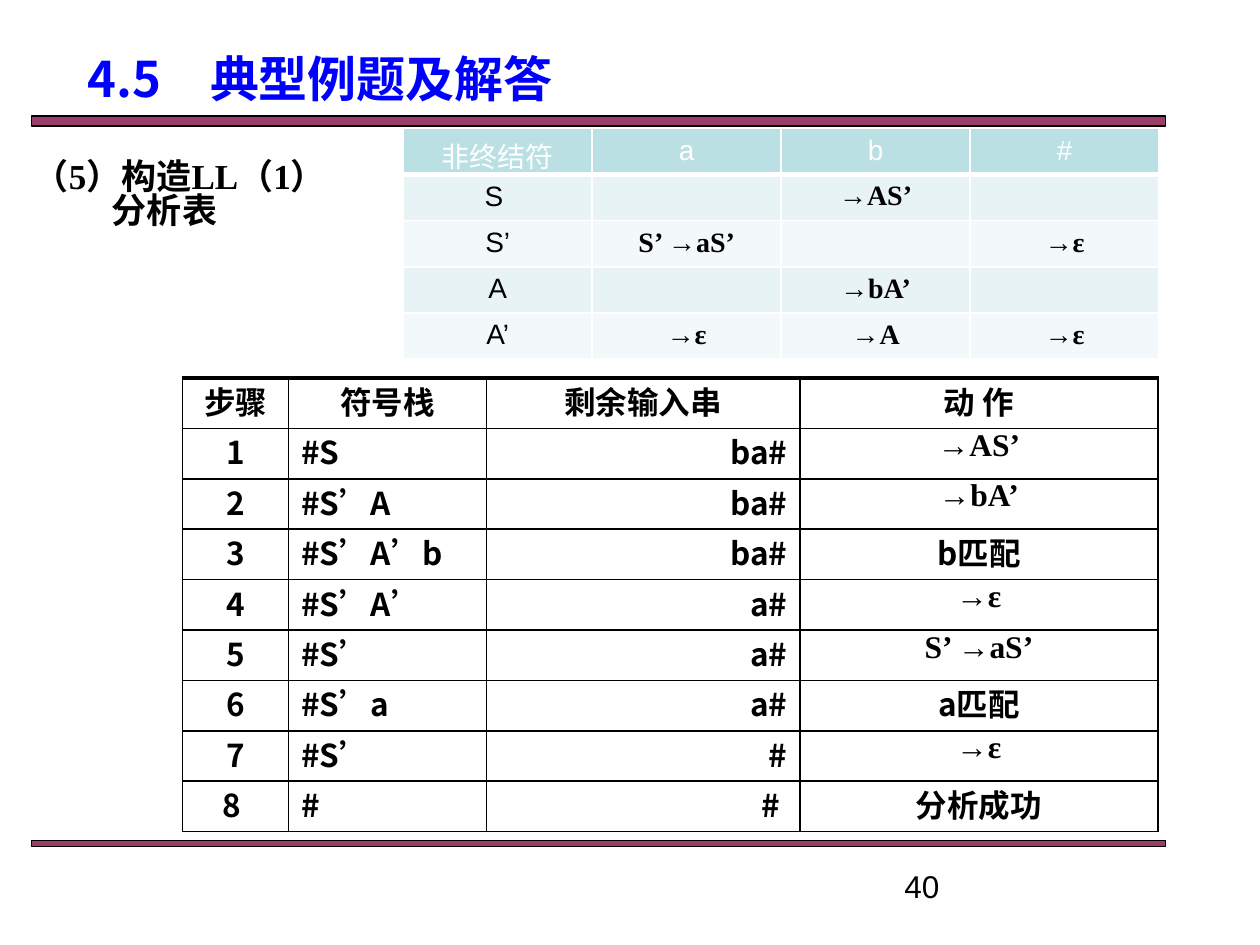
from dataclasses import dataclass

from lxml import etree
from pptx import Presentation
from pptx.dml.color import RGBColor
from pptx.enum.shapes import MSO_SHAPE
from pptx.enum.text import MSO_ANCHOR, PP_ALIGN
from pptx.oxml.ns import qn
from pptx.util import Inches, Pt

LEFT, CENTER, RIGHT = PP_ALIGN.LEFT, PP_ALIGN.CENTER, PP_ALIGN.RIGHT
TOP, MIDDLE = MSO_ANCHOR.TOP, MSO_ANCHOR.MIDDLE
RECTANGLE = MSO_SHAPE.RECTANGLE


@dataclass(frozen=True)
class Theme:
    """Colours, fonts and type sizes of the slide."""
    ink: str = "000000"
    white: str = "FFFFFF"
    title: str = "0000FF"
    rule: str = "993366"
    header: str = "BBE0E3"
    bands: tuple = ("E7F3F4", "F3F9FA")
    sans: str = "Arial"
    serif: str = "Times New Roman"
    cjk: str = "Noto Sans CJK SC"
    title_size: int = 28
    label_size: int = 20
    body_size: int = 18
    grid_size: int = 16


THEME = Theme()

PARSE_TABLE = [
    ["非终结符", "a", "b", "#"],
    ["S ", "", "→AS’", ""],
    ["S’", "S’ →aS’", "", "→ε"],
    ["A", "", "→bA’", ""],
    ["A’", "→ε", "→A", "→ε"],
]
PARSE_STEPS = [
    ["步骤", "符号栈", "剩余输入串", "动 作"],
    ["1", "#S", "ba#", "→AS’"],
    ["2", "#S’A", "ba#", "→bA’"],
    ["3", "#S’A’b", "ba#", "b匹配"],
    ["4", "#S’A’", "a#", "→ε"],
    ["5", "#S’", "a#", "S’ →aS’"],
    ["6", "#S’a", "a#", "a匹配"],
    ["7", "#S’", "#", "→ε"],
    ["8 ", "#", "# ", "分析成功"],
]


def write(paragraph, text, *, size, font, east_asian=None, color=THEME.ink,
          bold=False, align=LEFT, before=0, spacing=None, indent=0):
    """Put formatted text into a paragraph."""
    paragraph.alignment = align
    paragraph.space_before = Pt(before)
    if spacing:
        paragraph.line_spacing = spacing
    if indent:
        paragraph._p.get_or_add_pPr().set("marL", str(Inches(indent)))
    run = paragraph.add_run()
    run.text = text
    run.font.size, run.font.name, run.font.bold = Pt(size), font, bold
    run.font.color.rgb = RGBColor.from_string(color)
    ea = etree.SubElement(run._r.get_or_add_rPr(), qn("a:ea"))
    ea.set("typeface", east_asian or font)


def add_frame(slide, box, anchor=TOP):
    """Add a wrapping text box and return its text frame."""
    frame = slide.shapes.add_textbox(*map(Inches, box)).text_frame
    frame.word_wrap = True
    frame.vertical_anchor = anchor
    return frame


def add_rule(slide, box):
    """Draw one of the coloured bars that bound the content."""
    bar = slide.shapes.add_shape(RECTANGLE, *map(Inches, box))
    bar.shadow.inherit = False
    bar.fill.solid()
    bar.fill.fore_color.rgb = RGBColor.from_string(THEME.rule)
    color = bar._element.spPr.find(".//" + qn("a:srgbClr"))
    etree.SubElement(color, qn("a:alpha")).set("val", "96000")
    bar.line.color.rgb = RGBColor.from_string(THEME.ink)
    bar.line.width = Pt(0.75)


def set_borders(cell, color, **widths):
    """Give a cell borders; widths in points are keyed L, R, T and B."""
    properties = cell._tc.get_or_add_tcPr()
    for index, side in enumerate("LRTB"):
        line = etree.Element(qn("a:ln" + side), w=str(Pt(widths.get(side, 1))))
        fill = etree.SubElement(line, qn("a:solidFill"))
        etree.SubElement(fill, qn("a:srgbClr")).set("val", color)
        properties.insert(index, line)


def add_grid(slide, box, columns, rows, fill_cell):
    """Add a table with equal rows and let fill_cell format each cell."""
    table = slide.shapes.add_table(
        len(rows), len(columns), *map(Inches, box)).table
    for column, width in zip(table.columns, columns):
        column.width = Inches(width)
    for r, texts in enumerate(rows):
        table.rows[r].height = Inches(box[3] / len(rows))
        for c, text in enumerate(texts):
            fill_cell(table.cell(r, c), r, c, text)


def fill_parse_cell(cell, row, column, text):
    """Format a cell of the LL(1) table."""
    cell.margin_bottom = 0
    cell.fill.solid()
    cell.fill.fore_color.rgb = RGBColor.from_string(
        THEME.bands[(row - 1) % 2] if row else THEME.header)
    set_borders(cell, THEME.white, B=1 if row else 3)
    formula = row > 0 and column > 0
    write(cell.text_frame.paragraphs[0], text, size=THEME.grid_size,
          font=THEME.serif if formula else THEME.sans,
          east_asian=None if formula else THEME.cjk,
          color=THEME.ink if row else THEME.white,
          bold=formula, align=CENTER)


def fill_step_cell(cell, row, column, text):
    """Format a cell of the parsing steps."""
    cell.margin_top = cell.margin_bottom = 0
    cell.fill.background()
    set_borders(cell, THEME.ink, T=1 if row else 2.25)
    formula = "→" in text
    align = (CENTER, LEFT, RIGHT, CENTER)[column] if row else CENTER
    write(cell.text_frame.paragraphs[0], text, size=THEME.body_size,
          font=THEME.serif if formula else THEME.cjk,
          bold=True, align=align, before=2.88)


def add_title(slide, box):
    """Add the section title."""
    write(add_frame(slide, box, MIDDLE).paragraphs[0], "4.5　典型例题及解答",
          size=THEME.title_size, font=THEME.cjk, color=THEME.title,
          bold=True, align=CENTER)


def add_task(slide, box):
    """Add the two-paragraph task label."""
    frame = add_frame(slide, box)
    style = dict(size=THEME.label_size, font=THEME.serif,
                 east_asian=THEME.cjk, bold=True, spacing=0.83)
    write(frame.paragraphs[0], "（5）构造LL（1）", **style)
    write(frame.add_paragraph(), "分析表", indent=0.62, **style)


def add_page_number(slide, box):
    """Add the page number."""
    write(add_frame(slide, box).paragraphs[0], "40",
          size=THEME.body_size, font=THEME.sans)


def build():
    """Build and save the slide."""
    deck = Presentation()
    deck.slide_width, deck.slide_height = Inches(10), Inches(7.5)
    slide = deck.slides.add_slide(deck.slide_layouts[6])
    add_rule(slide, (0.25, 0.92, 9, 0.08))
    add_rule(slide, (0.25, 6.67, 9, 0.05))
    add_page_number(slide, (7.08, 6.83, 2.33, 0.27))
    add_task(slide, (0.17, 1.23, 2.75, 0.77))
    add_grid(slide, (3.2, 1.02, 6, 1.83), [1.5] * 4, PARSE_TABLE,
             fill_parse_cell)
    add_grid(slide, (1.45, 3, 7.74, 3.6), [0.84, 1.57, 2.49, 2.84],
             PARSE_STEPS, fill_step_cell)
    add_title(slide, (-0.67, 0.33, 6.42, 0.58))
    deck.save("out.pptx")


build()
